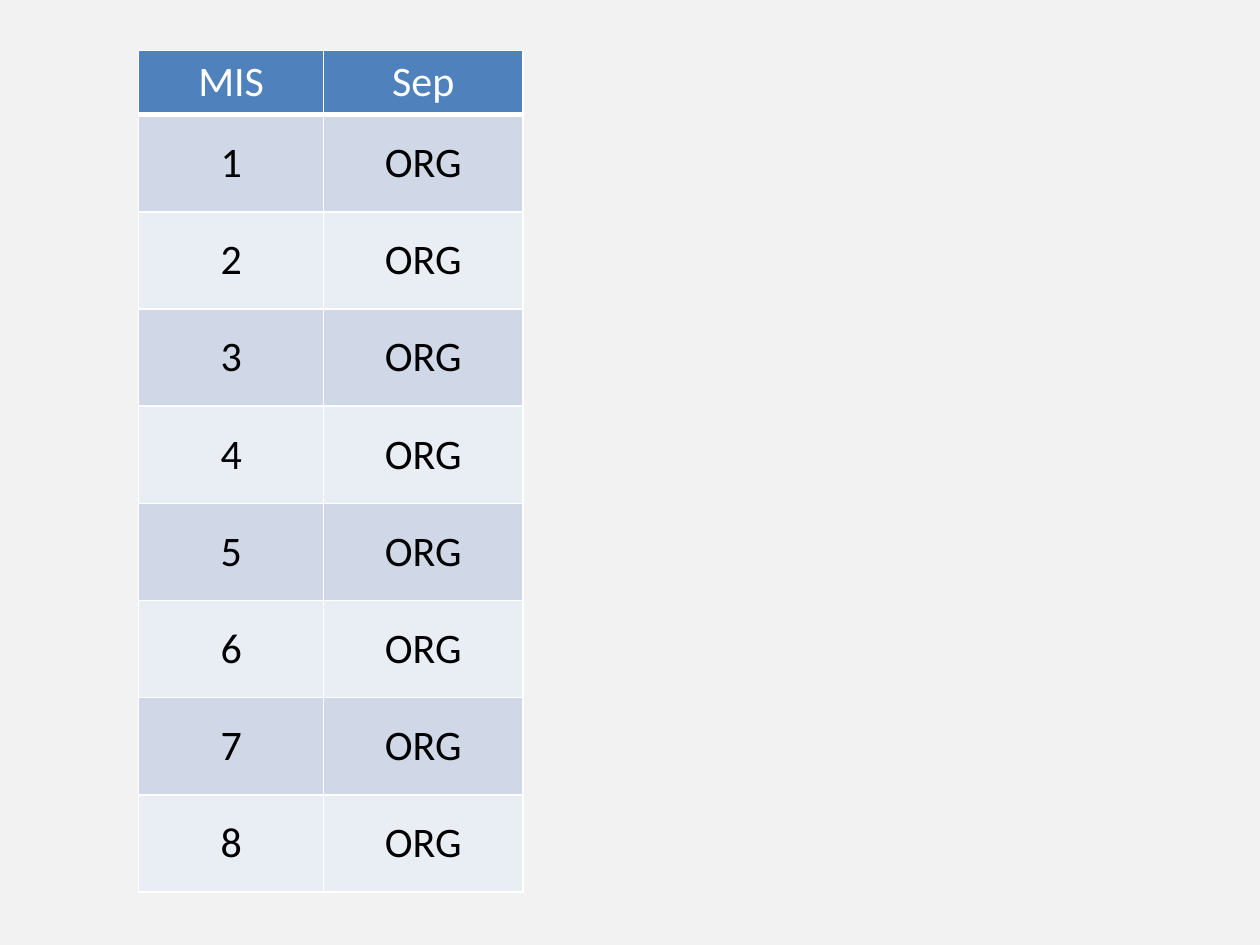
from lxml import etree
from pptx import Presentation
from pptx.dml.color import RGBColor
from pptx.enum import text
from pptx.oxml.ns import qn
from pptx.util import Pt

BACKGROUND = RGBColor(0xF2, 0xF2, 0xF2)
HEADER = RGBColor(0x4F, 0x81, 0xBD)
BAND_DARK = RGBColor(0xD0, 0xD8, 0xE8)
BAND_LIGHT = RGBColor(0xE9, 0xED, 0xF4)
WHITE = RGBColor(0xFF, 0xFF, 0xFF)
BLACK = RGBColor(0, 0, 0)


def set_borders(cell, color, bottom):
    """Draw 1 pt borders, with the bottom one `bottom` points wide."""
    tc_pr = cell._tc.get_or_add_tcPr()
    for side, width in (("L", 1), ("R", 1), ("T", 1), ("B", bottom)):
        ln = etree.SubElement(tc_pr, qn(f"a:ln{side}"), w=str(Pt(width)))
        fill = etree.SubElement(ln, qn("a:solidFill"))
        etree.SubElement(fill, qn("a:srgbClr"), val=str(color))


def write(cell, value, *, size=24, font="Calibri", color=BLACK):
    cell.vertical_anchor = text.MSO_ANCHOR.MIDDLE
    p = cell.text_frame.paragraphs[0]
    p.alignment = text.PP_ALIGN.CENTER
    r = p.add_run()
    r.text = value
    r.font.size = Pt(size)
    r.font.name = font
    r.font.color.rgb = color


prs = Presentation()
prs.slide_width, prs.slide_height = Pt(720), Pt(540)
s = prs.slides.add_slide(prs.slide_layouts[6])
s.background.fill.solid()
s.background.fill.fore_color.rgb = BACKGROUND

rows = [("MIS", "Sep")] + [(str(n), "ORG") for n in range(1, 9)]
frame = s.shapes.add_table(len(rows), 2, Pt(79.2), Pt(29), Pt(219.6), Pt(480))
table = frame.table
table.columns[0].width = Pt(105.8)
table.columns[1].width = Pt(113.8)

for i, values in enumerate(rows):
    is_header = i == 0
    table.rows[i].height = Pt(31 if is_header else 55.55)
    band = BAND_DARK if i % 2 else BAND_LIGHT
    for j, value in enumerate(values):
        cell = table.cell(i, j)
        set_borders(cell, WHITE, bottom=3 if is_header else 1)
        cell.fill.solid()
        cell.fill.fore_color.rgb = HEADER if is_header else band
        write(cell, value, color=WHITE if is_header else BLACK)

# The header row grows to fit its text, so the frame is taller than the rows.
frame.height = Pt(480)

prs.save("out.pptx")
